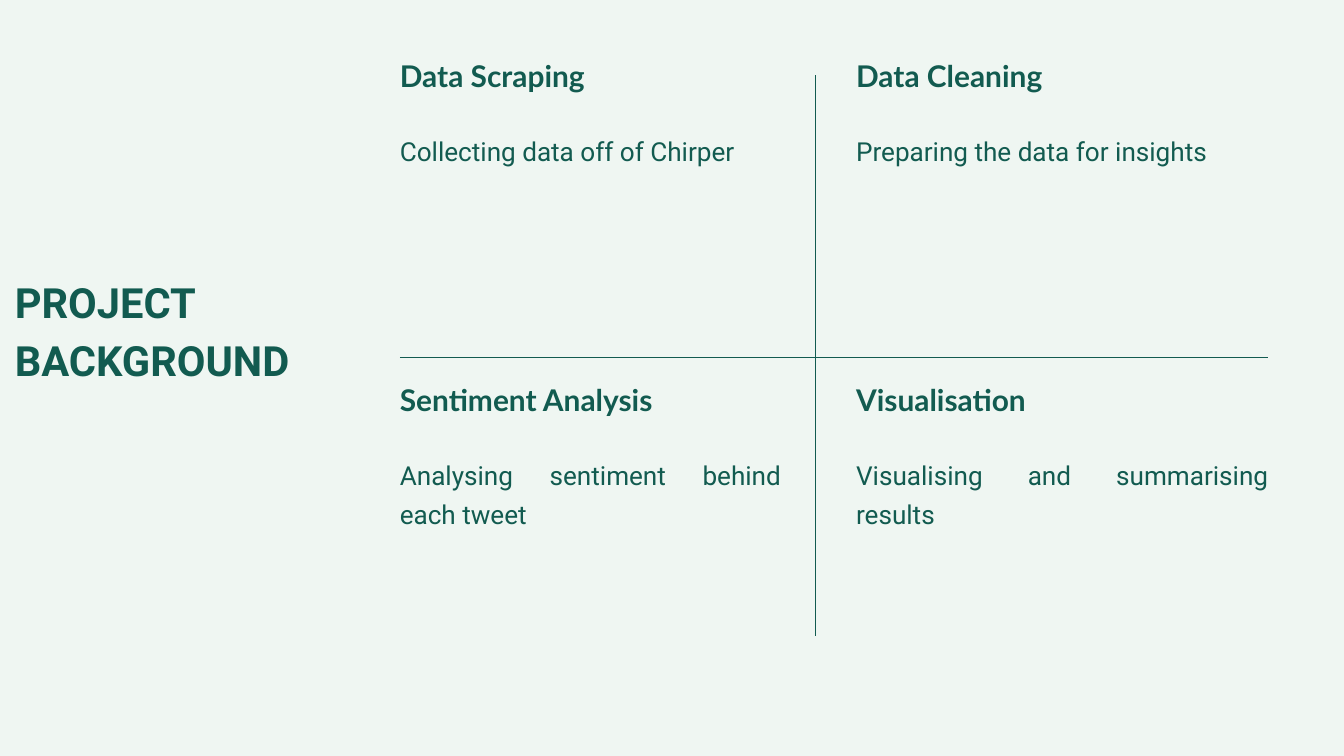
from pptx import Presentation, util as u
from pptx.dml.color import RGBColor
from pptx.enum import shapes, text
from lxml import etree

GREEN = RGBColor(0x12, 0x5B, 0x50)
MINT = RGBColor(0xEF, 0xF6, 0xF2)
DRAWING = "{http://schemas.openxmlformats.org/drawingml/2006/main}"


def place(box, left, top, width, height):
    box.left, box.top = u.Inches(left), u.Inches(top)
    box.width, box.height = u.Inches(width), u.Inches(height)


def write(box, words, font, size, leading, bold=False, align=text.PP_ALIGN.LEFT):
    frame = box.text_frame
    frame.word_wrap = True
    frame.auto_size = text.MSO_AUTO_SIZE.NONE
    frame.vertical_anchor = text.MSO_ANCHOR.TOP
    frame.margin_left = frame.margin_top = frame.margin_right = frame.margin_bottom = 0
    frame.text = words
    para = frame.paragraphs[0]
    para.alignment = align
    para.line_spacing = u.Pt(leading)
    para.space_before = u.Pt(0)
    para.font.name, para.font.size, para.font.bold = font, u.Pt(size), bold
    para.font.color.rgb = GREEN


deck = Presentation()
deck.slide_width, deck.slide_height = u.Inches(20), u.Inches(11.25)
page = deck.slides.add_slide(deck.slide_layouts[5])
page.background.fill.solid()
page.background.fill.fore_color.rgb = MINT

# Title
title = page.shapes.title
place(title, 0.22, 3.99, 6.14, 2.06)
write(title, "PROJECT BACKGROUND", "Roboto", 44.6, 62.4, bold=True)

# Two by two grid of project stages
COLUMNS = [(5.95, 5.67), (12.74, 6.13)]  # left, width
ROWS = [0.77, 5.59]
BODY_DROP = 1.13
STAGES = [
    [("Data Scraping", "Collecting data off of Chirper"),
     ("Data Cleaning", "Preparing the data for insights")],
    [("Sentiment Analysis", "Analysing sentiment behind each tweet"),
     ("Visualisation", "Visualising and summarising results")],
]
for top, stages in zip(ROWS, STAGES):
    for (left, width), (name, detail) in zip(COLUMNS, stages):
        heading = page.shapes.add_textbox(0, 0, 0, 0)
        place(heading, left, top, width, 0.88)
        write(heading, name, "Lato", 32, 44.8, bold=True)
        body = page.shapes.add_textbox(0, 0, 0, 0)
        place(body, left, top + BODY_DROP, width, 1.38)
        write(body, detail, "Roboto", 28, 42, align=text.PP_ALIGN.JUSTIFY)

# Dividers between rows and columns
for ends in [(5.95, 5.32, 18.87, 5.32), (12.13, 1.12, 12.13, 9.46)]:
    divider = page.shapes.add_connector(
        shapes.MSO_CONNECTOR.STRAIGHT, *[u.Inches(end) for end in ends])
    divider.line.color.rgb = GREEN
    divider.line.width = u.Pt(0.75)
    etree.SubElement(divider._element.spPr, DRAWING + "effectLst")

deck.save("out.pptx")
